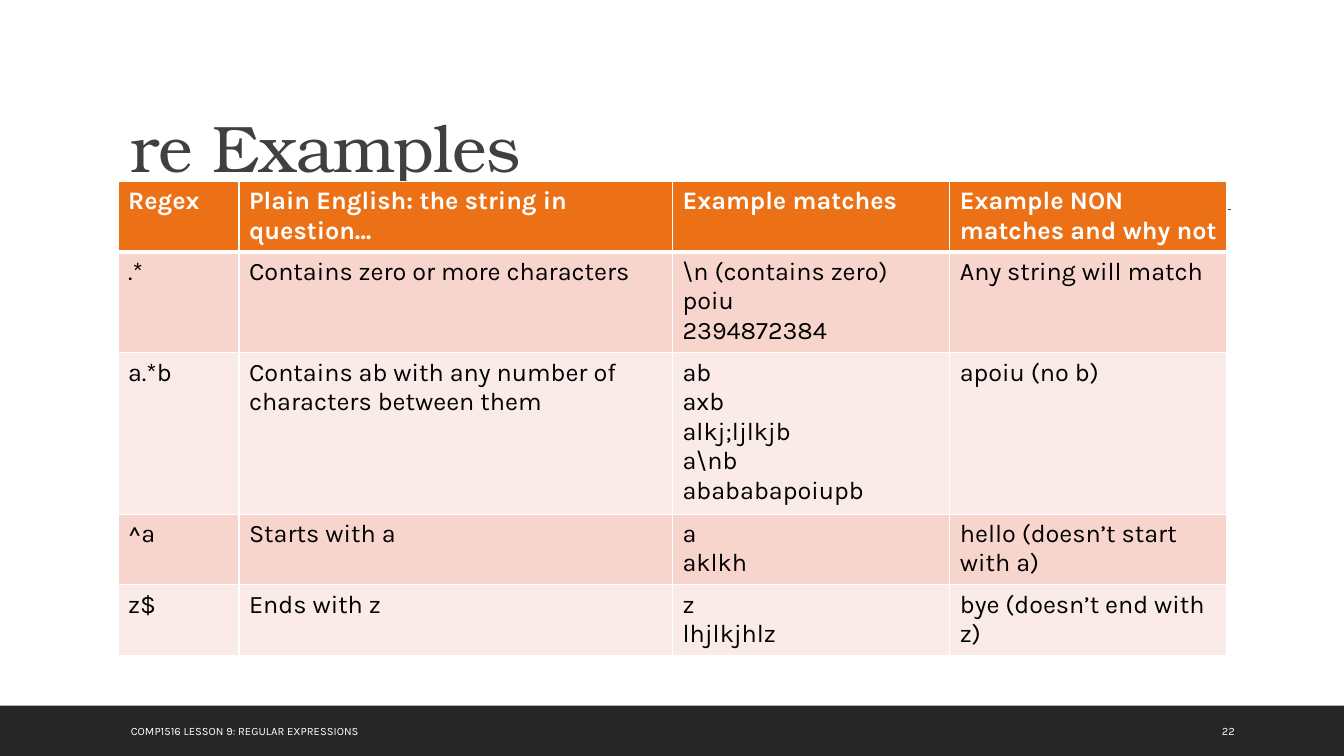
from pptx import Presentation
from pptx.dml.color import RGBColor
from pptx.enum.shapes import MSO_CONNECTOR, MSO_SHAPE
from pptx.enum.text import MSO_ANCHOR
from pptx.oxml.ns import qn
from pptx.util import Inches, Pt
from lxml.etree import SubElement

TITLE = "re Examples"
FOOTER = "COMP1516 LESSON 9: REGULAR EXPRESSIONS"
PAGE = "22"
HEADINGS = ["Regex", "Plain English: the string in question…",
            "Example matches", "Example NON matches and why not"]
# Regex, meaning, matches, non-matches
EXAMPLES = [
    (".*", "Contains zero or more characters",
     [r"\n (contains zero)", "poiu", "2394872384"], "Any string will match"),
    ("a.*b", "Contains ab with any number of characters between them",
     ["ab", "axb", "alkj;ljlkjb", r"a\nb", "abababapoiupb"], "apoiu (no b)"),
    ("^a", "Starts with a", ["a", "aklkh"], "hello (doesn’t start with a)"),
    ("z$", "Ends with z", ["z", "lhjlkjhlz"], "bye (doesn’t end with z)"),
]
COLUMN_WIDTHS = [1.2, 4.3, 2.75, 2.75]
LINE_HEIGHT, CELL_PADDING = 0.29, 0.1
HEADING_LINES = 2

COLORS = {"bar": "262626", "title": "404040", "heading": "EC7016",
          "odd": "F8D5CC", "even": "FBEBE8", "white": "FFFFFF", "black": "000000"}
HEAD_FONT, BODY_FONT = "TeX Gyre Bonum", "Karla"


def rgb(name):
    return RGBColor.from_string(COLORS[name])


def add_run(paragraph, text, size, color, font=BODY_FONT, bold=False):
    run = paragraph.add_run()
    run.text = text
    run.font.size = Pt(size)
    run.font.name = font
    run.font.bold = bold
    run.font.color.rgb = rgb(color)
    return run


def add_text(slide, box, anchor, text, size, color, font=BODY_FONT):
    frame = slide.shapes.add_textbox(*map(Inches, box)).text_frame
    frame.word_wrap = True
    frame.vertical_anchor = anchor
    paragraph = frame.paragraphs[0]
    return paragraph, add_run(paragraph, text, size, color, font)


def set_borders(cell, bottom):
    """Draw white cell borders; bottom is the lower border's width in points."""
    properties = cell._tc.get_or_add_tcPr()
    for side, width in (("L", 1), ("R", 1), ("T", 1), ("B", bottom)):
        border = SubElement(properties, qn(f"a:ln{side}"), w=str(Pt(width)))
        fill = SubElement(border, qn("a:solidFill"))
        SubElement(fill, qn("a:srgbClr"), val=COLORS["white"])


def fill_cell(cell, lines, fill, color, heading):
    set_borders(cell, 3 if heading else 1)
    cell.fill.solid()
    cell.fill.fore_color.rgb = rgb(fill)
    frame = cell.text_frame
    for index, line in enumerate(lines):
        paragraph = frame.add_paragraph() if index else frame.paragraphs[0]
        add_run(paragraph, line, 18, color, bold=heading)


def add_examples(slide):
    rows = [HEADINGS, *EXAMPLES]
    line_counts = [HEADING_LINES] + [len(example[2]) for example in EXAMPLES]
    heights = [CELL_PADDING + LINE_HEIGHT * count for count in line_counts]
    table = slide.shapes.add_table(
        len(rows), len(COLUMN_WIDTHS), Inches(1.17), Inches(1.8),
        Inches(sum(COLUMN_WIDTHS)), Inches(sum(heights))).table
    for column, width in zip(table.columns, COLUMN_WIDTHS):
        column.width = Inches(width)
    for r, (row, height) in enumerate(zip(rows, heights)):
        table.rows[r].height = Inches(height)
        heading = r == 0
        fill = "heading" if heading else "odd" if r % 2 else "even"
        for c, content in enumerate(row):
            lines = [content] if isinstance(content, str) else content
            fill_cell(table.cell(r, c), lines, fill,
                      "white" if heading else "black", heading)


def main():
    deck = Presentation()
    deck.slide_width, deck.slide_height = Inches(13.33), Inches(7.5)
    slide = deck.slides.add_slide(deck.slide_layouts[6])

    bar = slide.shapes.add_shape(MSO_SHAPE.RECTANGLE, 0, Inches(7),
                                 deck.slide_width, Inches(0.5))
    bar.shadow.inherit = False
    bar.fill.solid()
    bar.fill.fore_color.rgb = rgb("bar")
    bar.line.fill.background()

    rule = slide.shapes.add_connector(MSO_CONNECTOR.STRAIGHT, Inches(1.31),
                                      Inches(2.08), Inches(12.21), Inches(2.08))
    rule.line.color.rgb = rgb("title")
    rule.line.width = Pt(1)
    SubElement(rule._element.spPr, qn("a:effectLst"))

    paragraph, run = add_text(slide, (1.2, 0.31, 11, 1.59), MSO_ANCHOR.BOTTOM,
                              TITLE, 47, "title", HEAD_FONT)
    paragraph.line_spacing = 0.9
    run._r.get_or_add_rPr().set("spc", "-50")

    add_examples(slide)
    for left, width, text in ((1.2, 7.46, FOOTER), (12.02, 0.85, PAGE)):
        add_text(slide, (left, 7.05, width, 0.4), MSO_ANCHOR.MIDDLE, text, 8, "white")

    deck.save("out.pptx")


if __name__ == "__main__":
    main()
